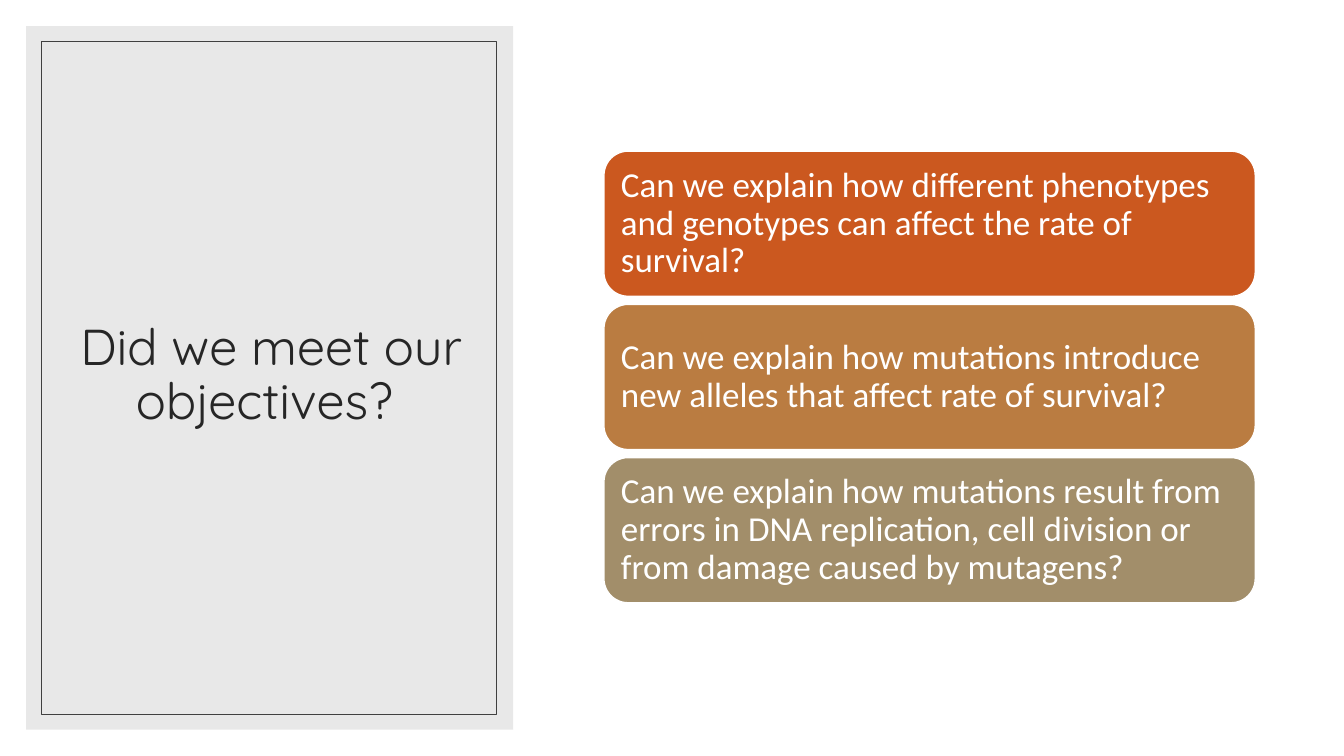
from lxml.etree import SubElement
from pptx import Presentation
from pptx.dml.color import RGBColor
from pptx.enum.shapes import MSO_SHAPE
from pptx.enum.text import MSO_ANCHOR, PP_ALIGN
from pptx.oxml.ns import qn
from pptx.util import Inches, Pt


def color(value):
    return RGBColor.from_string(value)


class SlideBuilder:
    title_font = "Quicksand"
    body_font = "Calibri"
    line_spacing = 0.9

    def __init__(self, presentation):
        self.slide = presentation.slides.add_slide(presentation.slide_layouts[6])

    def background(self, fill):
        self.slide.background.fill.solid()
        self.slide.background.fill.fore_color.rgb = color(fill)

    def box(self, kind, bounds, fill=None, line=None, line_width=1, opacity=100):
        shape = self.slide.shapes.add_shape(kind, *map(Inches, bounds))
        shape.shadow.inherit = False
        if fill:
            shape.fill.solid()
            shape.fill.fore_color.rgb = color(fill)
            if opacity < 100:
                fill_color = shape.element.spPr.find(qn("a:solidFill"))[0]
                SubElement(fill_color, qn("a:alpha"), val=str(opacity * 1000))
        else:
            shape.fill.background()
        if line:
            shape.line.color.rgb = color(line)
            shape.line.width = Pt(line_width)
        else:
            shape.line.fill.background()
        return shape

    def add_text(self, shape, text, size, font, text_color, align, inset):
        frame = shape.text_frame
        frame.word_wrap = True
        frame.vertical_anchor = MSO_ANCHOR.MIDDLE
        frame.margin_left = frame.margin_right = Inches(inset)
        frame.margin_top = frame.margin_bottom = Inches(inset)
        paragraph = frame.paragraphs[0]
        paragraph.alignment = align
        paragraph.line_spacing = self.line_spacing
        run = paragraph.add_run()
        run.text = text
        run.font.size = Pt(size)
        run.font.name = font
        run.font.color.rgb = color(text_color)

    def title(self, text, bounds):
        shape = self.slide.shapes.add_textbox(*map(Inches, bounds))
        self.add_text(shape, text, 36, self.title_font, "262626", PP_ALIGN.CENTER, 0.1)

    def card(self, text, bounds, fill):
        shape = self.box(MSO_SHAPE.ROUNDED_RECTANGLE, bounds, fill, "FFFFFF")
        # The rounded corners already inset the text by about 0.07 inches
        self.add_text(shape, text, 25, self.body_font, "FFFFFF", PP_ALIGN.LEFT, 0.1)


OBJECTIVES = [
    ("Can we explain how different phenotypes and genotypes can affect "
     "the rate of survival?", "CB581F"),
    ("Can we explain how mutations introduce new alleles that affect "
     "rate of survival?", "BA7C41"),
    ("Can we explain how mutations result from errors in DNA replication, "
     "cell division or from damage caused by mutagens?", "A28E6A"),
]
CARD_TOP, CARD_STEP = 1.5, 1.52


def main():
    presentation = Presentation()
    presentation.slide_width = Inches(13.33)
    presentation.slide_height = Inches(7.5)
    builder = SlideBuilder(presentation)
    builder.background("FFFFFF")

    # Title panel with its inner frame
    builder.box(MSO_SHAPE.RECTANGLE, (0.26, 0.26, 4.83, 6.98), "D9D9D9", opacity=60)
    builder.title("Did we meet our objectives? ", (0.63, 0.61, 4.12, 6.24))
    builder.box(MSO_SHAPE.RECTANGLE, (0.41, 0.41, 4.51, 6.68),
                line="404040", line_width=0.5)

    # Objective cards
    for index, (text, fill) in enumerate(OBJECTIVES):
        builder.card(text, (5.99, CARD_TOP + index * CARD_STEP, 6.46, 1.44), fill)

    presentation.save("out.pptx")


if __name__ == "__main__":
    main()
